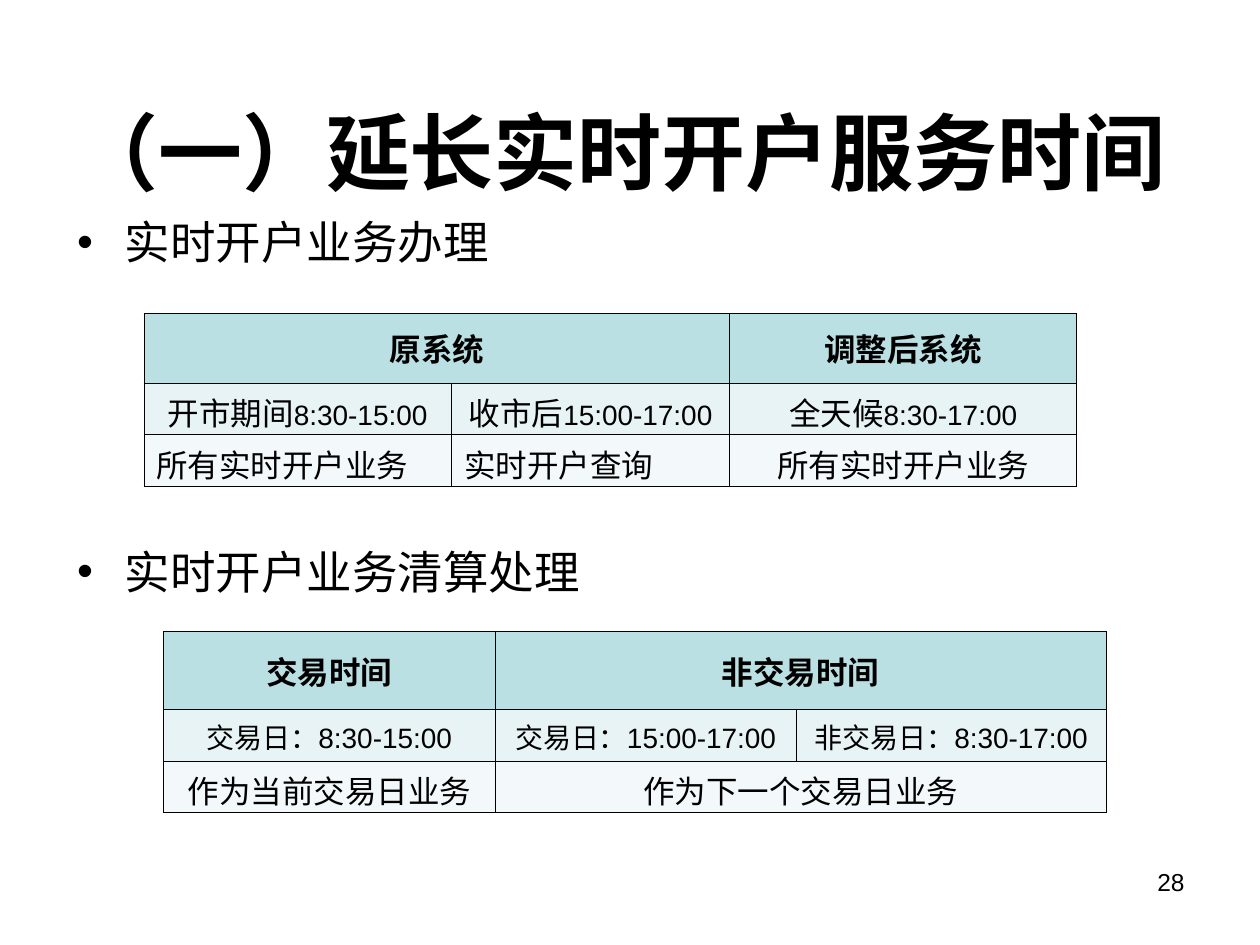
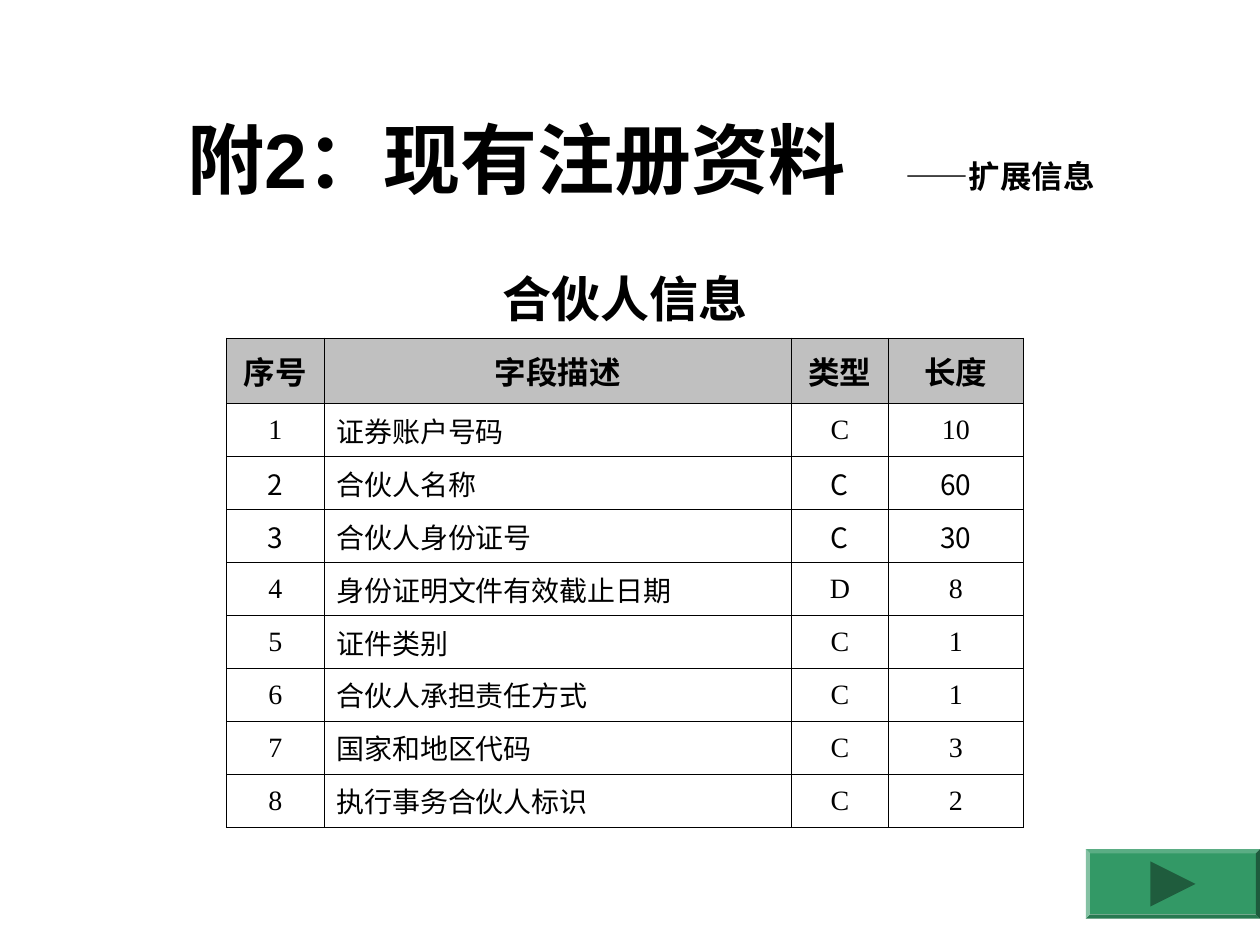
import pptx
import pptx.dml.color
import pptx.enum.shapes
import pptx.enum.text
import pptx.oxml
import pptx.oxml.ns
import pptx.util
from pptx.util import Cm

ALIGN = pptx.enum.text.PP_ALIGN
ANCHOR = pptx.enum.text.MSO_ANCHOR
SHAPE = pptx.enum.shapes.MSO_SHAPE
NAMESPACE = pptx.oxml.ns.nsdecls("a")

BLACK, WHITE = "000000", "FFFFFF"
HEADER_TEAL, LIGHT_TEAL, PALE_TEAL = "BBE0E3", "E7F3F4", "F3F9FA"
HEADER_GREY = "C0C0C0"
BUTTON_GREEN, ARROW_GREEN = "339966", "1F5C3D"
SANS, SERIF, CHINESE = "Arial", "Times New Roman", "Noto Sans CJK SC"
BORDER_WIDTH = 0.45


def color(hex_string):
    return pptx.dml.color.RGBColor.from_string(hex_string)


def add_text(paragraph, text, size=18, font=SANS, bold=False, fill=BLACK, spacing=0):
    """Add one formatted run; spacing is the extra gap after each letter in points."""
    run = paragraph.add_run()
    run.text = text
    run.font.size = pptx.util.Pt(size)
    run.font.bold = bold
    run.font.name = font
    run.font.color.rgb = color(fill)
    properties = run.font._element
    properties.append(pptx.oxml.parse_xml(f'<a:ea {NAMESPACE} typeface="{CHINESE}"/>'))
    if spacing:
        properties.set("spc", str(spacing * 100))


def place(shape, box):
    shape.left, shape.top, shape.width, shape.height = (Cm(length) for length in box)


# Titles and lists
def fill_title(slide, box, pieces):
    title = slide.shapes.title
    place(title, box)
    frame = title.text_frame
    frame.auto_size = pptx.enum.text.MSO_AUTO_SIZE.NONE
    frame.vertical_anchor = ANCHOR.MIDDLE
    paragraph = frame.paragraphs[0]
    paragraph.alignment = ALIGN.CENTER
    for text, text_format in pieces:
        add_text(paragraph, text, bold=True, **text_format)
    return frame


def fill_bullets(slide, box, items, gap):
    """Fill the body placeholder, leaving a gap in points between the items."""
    body = slide.placeholders[1]
    place(body, box)
    frame = body.text_frame
    frame.auto_size = pptx.enum.text.MSO_AUTO_SIZE.NONE
    frame.vertical_anchor = ANCHOR.TOP
    frame.margin_top = 0
    for index, item in enumerate(items):
        paragraph = frame.add_paragraph() if index else frame.paragraphs[0]
        paragraph.space_before = pptx.util.Pt(gap if index else 0)
        properties = paragraph._p.get_or_add_pPr()
        properties.set("marL", str(Cm(0.96)))
        properties.set("indent", str(-Cm(0.96)))
        properties.append(pptx.oxml.parse_xml(f'<a:buChar {NAMESPACE} char="•"/>'))
        add_text(paragraph, item, size=26)


def add_page_number(slide, box, number):
    text_box = slide.shapes.add_textbox(*(Cm(length) for length in box))
    text_box.text_frame.word_wrap = True
    paragraph = text_box.text_frame.paragraphs[0]
    paragraph.alignment = ALIGN.RIGHT
    add_text(paragraph, number, size=14)


# Tables
def add_grid(slide, left, top, columns, rows):
    """Add an unstyled table with the given column widths and row heights."""
    frame = slide.shapes.add_table(len(rows), len(columns), Cm(left), Cm(top),
                                   Cm(sum(columns)), Cm(sum(rows)))
    table = frame.table
    table.first_row = table.horz_banding = False
    for column, width in zip(table.columns, columns):
        column.width = Cm(width)
    for row, height in zip(table.rows, rows):
        row.height = Cm(height)
    return table


def style_cell(cell, fill=None, sides="LRTB"):
    properties = cell._tc.get_or_add_tcPr()
    for side in sides:
        properties.append(pptx.oxml.parse_xml(
            f'<a:ln{side} {NAMESPACE} w="{pptx.util.Pt(BORDER_WIDTH)}"><a:solidFill>'
            f'<a:srgbClr val="{BLACK}"/></a:solidFill></a:ln{side}>'))
    if fill:
        cell.fill.solid()
        cell.fill.fore_color.rgb = color(fill)
    else:
        cell.fill.background()


def write_cell(cell, pieces, align=ALIGN.CENTER, anchor=ANCHOR.MIDDLE, **text_format):
    """Write (text, size) pieces into a cell."""
    cell.vertical_anchor = anchor
    paragraph = cell.text_frame.paragraphs[0]
    paragraph.alignment = align
    for text, size in pieces:
        add_text(paragraph, text, size=size, **text_format)


def add_hours_table(slide, left, top, columns, rows, contents, merges, left_cells=()):
    """Three-row table: header, opening hours, services. None is a merged cell."""
    table = add_grid(slide, left, top, columns, rows)
    for row, fill in enumerate((HEADER_TEAL, LIGHT_TEAL, PALE_TEAL)):
        for column, pieces in enumerate(contents[row]):
            cell = table.cell(row, column)
            style_cell(cell, fill)
            if pieces:
                write_cell(cell, pieces, bold=row == 0,
                           align=ALIGN.LEFT if (row, column) in left_cells else ALIGN.CENTER,
                           anchor=ANCHOR.TOP if row else ANCHOR.MIDDLE)
    for row, first, last in merges:
        table.cell(row, first).merge(table.cell(row, last))


def add_field_table(slide, left, top, caption, headings, fields):
    """Caption row, grey heading row, then one numbered row per field."""
    table = add_grid(slide, left, top, (1.96, 9.42, 1.96, 2.72),
                     [1.45, 1.32] + [0.99] * len(fields))
    for column, heading in enumerate(headings):
        style_cell(table.cell(0, column), sides="B")
        style_cell(table.cell(1, column), HEADER_GREY)
        write_cell(table.cell(1, column), [(heading, 18)], bold=True, font=SERIF)
    table.cell(0, 0).merge(table.cell(0, len(headings) - 1))
    write_cell(table.cell(0, 0), [(caption, 28)], bold=True, font=SERIF)
    for number, field in enumerate(fields, start=1):
        font = CHINESE if number in (2, 3) else SERIF
        for column, text in enumerate((str(number), *field)):
            cell = table.cell(number + 1, column)
            style_cell(cell)
            write_cell(cell, [(text, 16)], font=font,
                       align=ALIGN.LEFT if column == 1 else ALIGN.CENTER)


# Forward button
def add_solid_shape(slide, kind, box, fill):
    shape = slide.shapes.add_shape(kind, *(Cm(length) for length in box))
    shape.shadow.inherit = False
    shape.fill.solid()
    shape.fill.fore_color.rgb = color(fill)
    shape.line.fill.background()
    return shape


def add_forward_button(slide, box):
    left, top, width, height = box
    bevel = add_solid_shape(slide, SHAPE.BEVEL, box, BUTTON_GREEN)
    bevel.adjustments[0] = 0.06
    side = 0.65 * height
    arrow_box = (left + (width - side) / 2, top + (height - side) / 2, side, side)
    arrow = add_solid_shape(slide, SHAPE.ISOSCELES_TRIANGLE, arrow_box, ARROW_GREEN)
    arrow.rotation = 90


# Slides
def add_slide(presentation, layout_index):
    slide = presentation.slides.add_slide(presentation.slide_layouts[layout_index])
    slide.background.fill.solid()
    slide.background.fill.fore_color.rgb = color(WHITE)
    return slide


def build_hours_slide(presentation):
    slide = add_slide(presentation, 1)
    fill_title(slide, (0.79, 1.98, 23.42, 2.11),
               [("（一）延长实时开户服务时间", {"size": 48, "font": "Noto Sans CJK JP"})])
    add_page_number(slide, (18.21, 17.35, 5.92, 1.32), "28")
    fill_bullets(slide, (1.3, 4.32, 22.86, 8.4),
                 ["实时开户业务办理", "实时开户业务清算处理"], gap=157)
    add_hours_table(
        slide, 2.9, 6.32, (6.2, 5.61, 6.99), (1.4, 1.04, 1.04),
        [[[("原系统", 18)], None, [("调整后系统", 18)]],
         [[("开市期间", 18), ("8:30-15:00", 16)],
          [("收市后", 18), ("15:00-17:00", 16)],
          [("全天候", 18), ("8:30-17:00", 16)]],
         [[("所有实时开户业务", 18)], [("实时开户查询", 18)], [("所有实时开户业务", 18)]]],
        merges=[(0, 0, 1)], left_cells=[(2, 0), (2, 1)])
    add_hours_table(
        slide, 3.3, 12.73, (6.68, 6.07, 6.25), (1.57, 1.04, 1.04),
        [[[("交易时间", 18)], [("非交易时间", 18)], None],
         [[("交易日：8:30-15:00", 16)], [("交易日：15:00-17:00", 16)],
          [("非交易日：8:30-17:00", 16)]],
         [[("作为当前交易日业务", 18)], [("作为下一个交易日业务", 18)], None]],
        merges=[(0, 1, 2), (2, 1, 2)])


def build_fields_slide(presentation):
    slide = add_slide(presentation, 5)
    frame = fill_title(slide, (1.98, 1.78, 22.23, 2.79),
                       [("附2：现有注册资料", {"size": 44}),
                        (" ", {"size": 44, "spacing": 24}),
                        ("——扩展信息", {"size": 18})])
    frame.margin_right = Cm(0.6)
    add_field_table(slide, 4.57, 5.13, "合伙人信息", ("序号", "字段描述", "类型", "长度"), [
        ("证券账户号码", "C", "10"),
        ("合伙人名称", "C", "60"),
        ("合伙人身份证号", "C", "30"),
        ("身份证明文件有效截止日期", "D", "8"),
        ("证件类别", "C", "1"),
        ("合伙人承担责任方式", "C", "1"),
        ("国家和地区代码", "C", "3"),
        ("执行事务合伙人标识", "C", "2"),
    ])
    add_forward_button(slide, (21.89, 17.12, 3.51, 1.4))


def main():
    presentation = pptx.Presentation()
    presentation.slide_width, presentation.slide_height = Cm(25.4), Cm(19.05)
    build_hours_slide(presentation)
    build_fields_slide(presentation)
    presentation.save("out.pptx")


if __name__ == "__main__":
    main()
